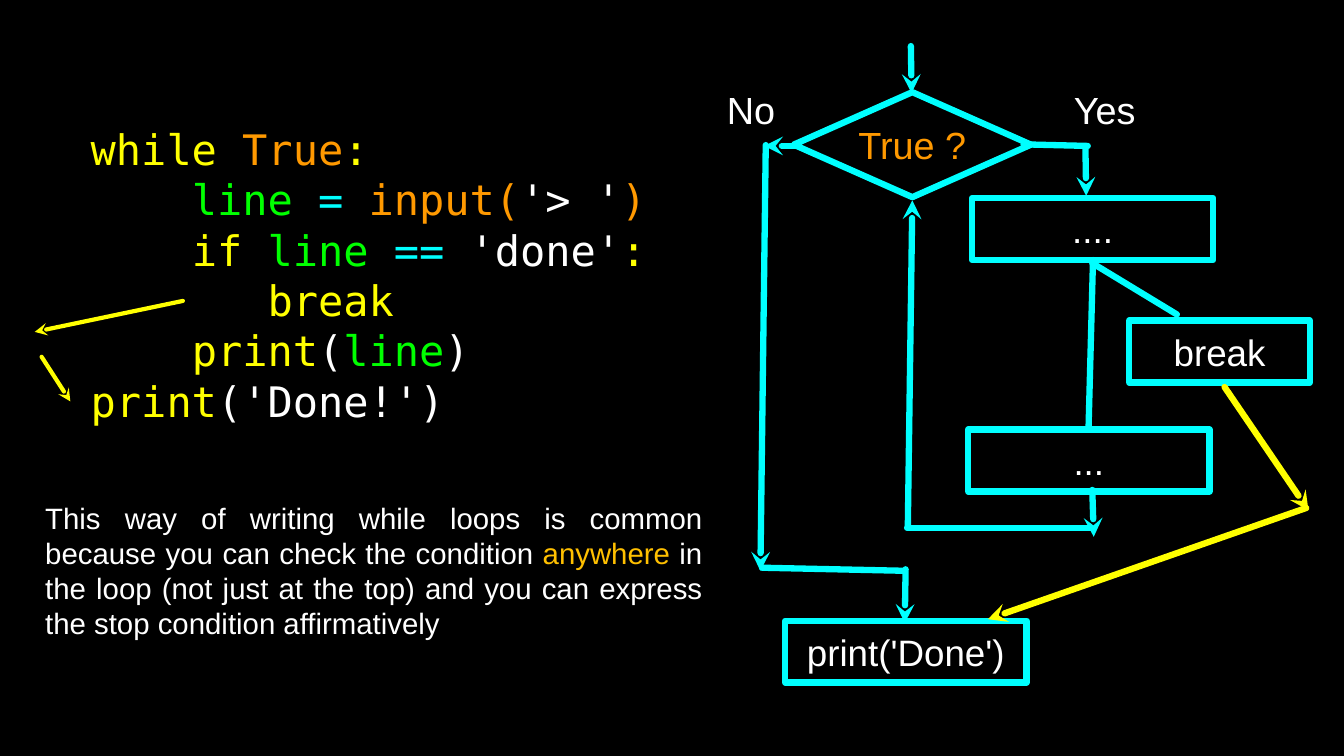
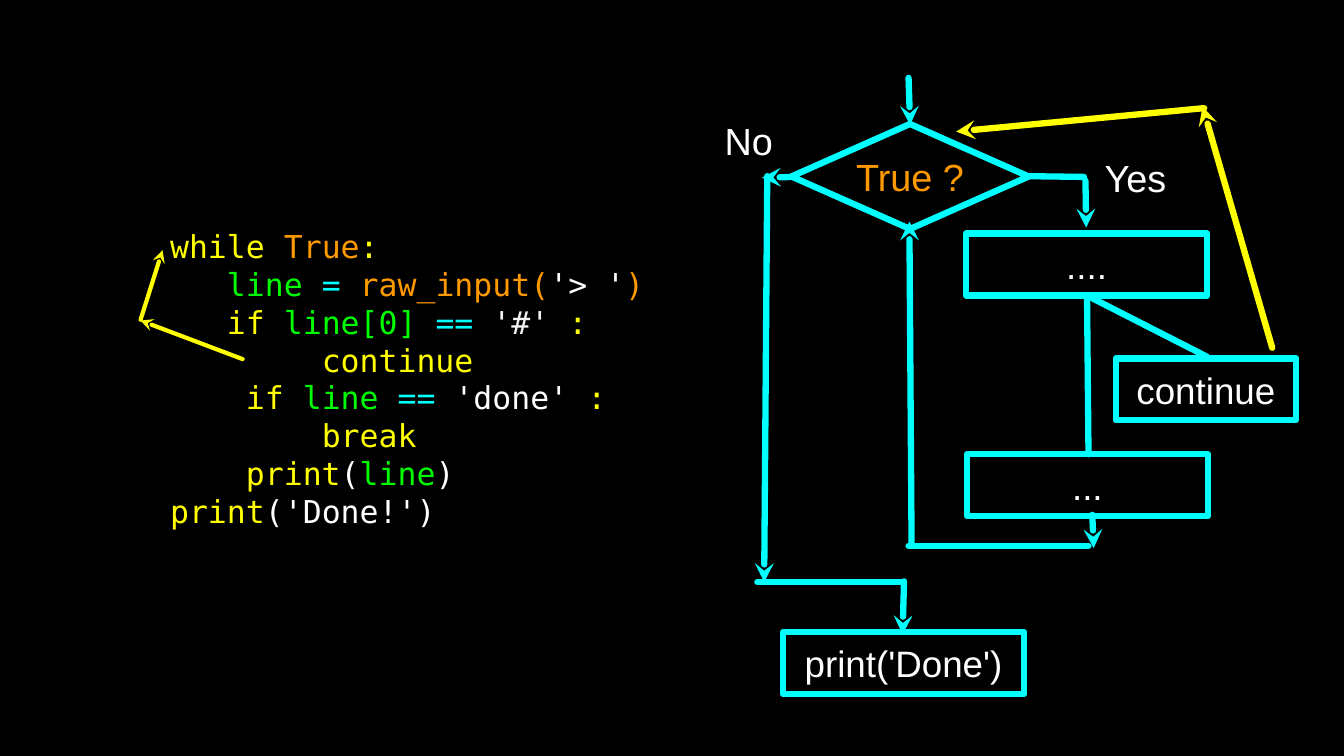
from dataclasses import dataclass

from lxml.etree import SubElement
from pptx import Presentation
from pptx.dml.color import RGBColor
from pptx.enum.shapes import MSO_CONNECTOR, MSO_SHAPE
from pptx.enum.text import MSO_ANCHOR, PP_ALIGN
from pptx.oxml.ns import qn
from pptx.util import Pt

COLORS = {
    "black": "000000", "white": "FFFFFF", "offwhite": "F3F3F3", "cyan": "00FFFF",
    "yellow": "FFFF00", "green": "00FF00", "orange": "FF9900", "gold": "FFC000",
}
SANS, MONO = "Arial", "DejaVu Sans Mono"
MONO_ADVANCE = 0.602  # character width per point of font size
LEADING = 1.2


@dataclass
class Node:
    text: str
    left: float
    top: float
    width: float = 229.7
    height: float = 59
    shape: MSO_SHAPE | None = MSO_SHAPE.RECTANGLE
    size: float = 35
    color: str = "white"


@dataclass
class Link:
    x1: float
    y1: float
    x2: float
    y2: float
    arrow: bool = True  # the head sits at x2, y2
    color: str = "cyan"
    width: float = 6


@dataclass
class CodeLine:
    indent: int
    tokens: list[tuple[str, str]]


@dataclass
class Code:
    left: float
    top: float
    width: float
    height: float
    size: float
    lines: list[CodeLine]


def rgb(name: str) -> RGBColor:
    return RGBColor.from_string(COLORS[name])


def add_run(p, text: str, size: float, color: str, font: str = SANS) -> None:
    r = p.add_run()
    r.text = text
    r.font.size = Pt(size)
    r.font.name = font
    r.font.color.rgb = rgb(color)


def setup_frame(tf, inset: float = 0, anchor=MSO_ANCHOR.MIDDLE) -> None:
    tf.word_wrap = True
    tf.vertical_anchor = anchor
    tf.margin_left = tf.margin_right = Pt(inset)
    tf.margin_top = tf.margin_bottom = Pt(inset / 2)


def add_node(s, node: Node) -> None:
    box = Pt(node.left), Pt(node.top), Pt(node.width), Pt(node.height)
    if node.shape is None:
        sp = s.shapes.add_textbox(*box)
    else:
        sp = s.shapes.add_shape(node.shape, *box)
        sp.shadow.inherit = False
        sp.fill.background()
        sp.line.color.rgb = rgb("cyan")
        sp.line.width = Pt(6)
    tf = sp.text_frame
    setup_frame(tf)
    p = tf.paragraphs[0]
    p.alignment = PP_ALIGN.CENTER
    add_run(p, node.text, node.size, node.color)


def add_link(s, link: Link) -> None:
    c = s.shapes.add_connector(MSO_CONNECTOR.STRAIGHT, Pt(link.x1), Pt(link.y1),
                               Pt(link.x2), Pt(link.y2))
    c.line.color.rgb = rgb(link.color)
    c.line.width = Pt(link.width)
    # Round caps, arrowhead and no shadow
    spPr = c.element.spPr
    ln = spPr.find(qn("a:ln"))
    ln.set("cap", "rnd")
    SubElement(ln, qn("a:round"))
    if link.arrow:
        SubElement(ln, qn("a:tailEnd")).set("type", "stealth")
    SubElement(spPr, qn("a:effectLst"))


def add_code(s, code: Code) -> None:
    sp = s.shapes.add_textbox(Pt(code.left), Pt(code.top), Pt(code.width), Pt(code.height))
    tf = sp.text_frame
    setup_frame(tf)
    for i, line in enumerate(code.lines):
        p = tf.paragraphs[0] if i == 0 else tf.add_paragraph()
        p.line_spacing = Pt(LEADING * code.size)
        pPr = p._p.get_or_add_pPr()
        pPr.set("marL", str(Pt(line.indent * MONO_ADVANCE * code.size)))
        pPr.set("indent", "0")
        for text, color in line.tokens:
            add_run(p, text, code.size, color, MONO)


def add_note(s, tokens: list[tuple[str, str]]) -> None:
    sp = s.shapes.add_textbox(Pt(36), Pt(472.3), Pt(640), Pt(143.3))
    tf = sp.text_frame
    setup_frame(tf, 7.2, MSO_ANCHOR.TOP)
    p = tf.paragraphs[0]
    p.alignment = PP_ALIGN.JUSTIFY
    p.line_spacing = Pt(LEADING * 28)
    for text, color in tokens:
        add_run(p, text, 28, color)


def decision(left: float, top: float) -> Node:
    return Node("True ?", left, top, 226, 100, MSO_SHAPE.DIAMOND, 36, "orange")


def label(text: str, left: float, top: float, width: float) -> Node:
    return Node(text, left, top, width, 49, None, 36)


def jump(x1: float, y1: float, x2: float, y2: float, width: float = 6) -> Link:
    return Link(x1, y1, x2, y2, color="yellow", width=width)


def add_loop_slide(prs, code: Code, nodes: list[Node], links: list[Link]):
    s = prs.slides.add_slide(prs.slide_layouts[6])
    add_code(s, code)
    for node in nodes:
        add_node(s, node)
    for link in links:
        add_link(s, link)
    return s


# Code lines found in both programs
WHILE_LINE = CodeLine(0, [("while ", "yellow"), ("True", "orange"), (":", "yellow")])
PRINT_LINE = CodeLine(4, [("print", "yellow"), ("(", "white"), ("line", "green"),
                          (")", "white")])
DONE_LINE = CodeLine(0, [("print", "yellow"), ("('Done!')", "white")])


def input_line(indent: int, function: str) -> CodeLine:
    return CodeLine(indent, [("line ", "green"), ("= ", "cyan"), (function + "(", "orange"),
                             ("'> '", "white"), (")", "orange")])


def if_line(indent: int, subject: str, value: str, end: str,
            color: str = "white") -> CodeLine:
    return CodeLine(indent, [("if ", "yellow"), (subject + " ", "green"), ("== ", "cyan"),
                             (value, color), (end, "yellow")])


def keyword_line(indent: int, word: str) -> CodeLine:
    return CodeLine(indent, [(word, "yellow")])


prs = Presentation()
prs.slide_width, prs.slide_height = Pt(1280.16), Pt(720)
bg = prs.slide_master.background.fill
bg.solid()
bg.fore_color.rgb = rgb("black")

# Slide 1: leaving the loop with break
s = add_loop_slide(
    prs,
    Code(86.4, 113.8, 576.7, 295.2, 40, [
        WHILE_LINE,
        input_line(4, "input"),
        if_line(4, "line", "'done'", ":"),
        keyword_line(7, "break"),
        PRINT_LINE,
        DONE_LINE,
    ]),
    [
        decision(756, 87.8),
        label("No", 686.9, 79.2, 56.9),
        label("Yes", 1010.9, 79.2, 82.8),
        Node("....", 925.9, 188.6),
        Node("break", 1075.7, 305.3, 172),
        Node("...", 922.3, 409),
        Node("print('Done')", 748, 591.1),
    ],
    [
        # Entry and Yes branch
        Link(867.6, 43.9, 868.3, 88.6),
        Link(974.9, 137.5, 1036.1, 139, arrow=False),
        Link(1033.9, 141.8, 1034.6, 186.5),
        Link(1041.1, 247.7, 1036.8, 409, arrow=False),
        Link(1040.4, 250.6, 1121, 299.5, arrow=False),
        # Back to the test
        Link(1040.4, 466.6, 1041.8, 511.2),
        Link(864, 502.6, 1039, 502.6, arrow=False),
        Link(864.7, 502.6, 869, 190.8),
        # No branch
        Link(759.6, 139, 727.9, 139),
        Link(729.4, 138.2, 724.3, 543.6),
        Link(725.8, 540.7, 861.1, 543.6, arrow=False),
        Link(862.6, 542.2, 861.8, 593.3),
        # Jumps in the chart and beside the code
        jump(1166.4, 368.6, 1246.3, 486),
        jump(1244.2, 483.8, 941, 589.7),
        jump(174.2, 286.6, 33.1, 316.1, 4),
        jump(39.6, 339.8, 67, 382.3, 4),
    ],
)
add_note(s, [
    ("This way of writing while loops is common because you can check the condition ",
     "white"),
    ("anywhere ", "gold"),
    ("in the loop (not just at the top) and you can express the stop condition "
     "affirmatively", "white"),
])

# Slide 2: restarting the loop with continue
add_loop_slide(
    prs,
    Code(162, 185.8, 495.4, 349.2, 30, [
        WHILE_LINE,
        input_line(3, "raw_input"),
        if_line(3, "line[0]", "'#' ", ":", "offwhite"),
        keyword_line(8, "continue"),
        if_line(4, "line", "'done' ", ":"),
        keyword_line(8, "break"),
        PRINT_LINE,
        DONE_LINE,
    ]),
    [
        decision(753.8, 118.1),
        label("No", 684.7, 108.7, 56.9),
        label("Yes", 1046.9, 144, 69.1),
        Node("....", 920.2, 222.5),
        Node("continue", 1062.7, 341.3, 172),
        Node("...", 920.9, 432.7),
        Node("print('Done')", 745.9, 601.9),
    ],
    [
        # Entry and Yes branch
        Link(865.4, 74.2, 866.9, 118.8),
        Link(979.2, 167.8, 1032.5, 168.5, arrow=False),
        Link(1033.9, 172.1, 1034.6, 216.7),
        Link(1035.4, 281.5, 1036.8, 432.7, arrow=False),
        Link(1035.4, 281.5, 1149.8, 339.8, arrow=False),
        # Back to the test
        Link(1040.4, 490.3, 1041.8, 522),
        Link(865.4, 519.8, 1036.8, 519.8, arrow=False),
        Link(868.3, 519.8, 866.2, 211),
        # No branch
        Link(757.4, 168.5, 725.8, 169.2),
        Link(730.8, 167.8, 727.9, 554.4),
        Link(721.4, 554.4, 859.7, 554.4, arrow=False),
        Link(861.1, 553.7, 859.7, 604.1),
        # Jumps in the chart and beside the code
        jump(1211.8, 331.2, 1145.5, 101.5),
        jump(1147, 103, 910.8, 125.3),
        jump(231.1, 342, 133.9, 305.3, 4),
        jump(133.9, 304.6, 154.8, 238.3, 4),
    ],
)

prs.save("out.pptx")
